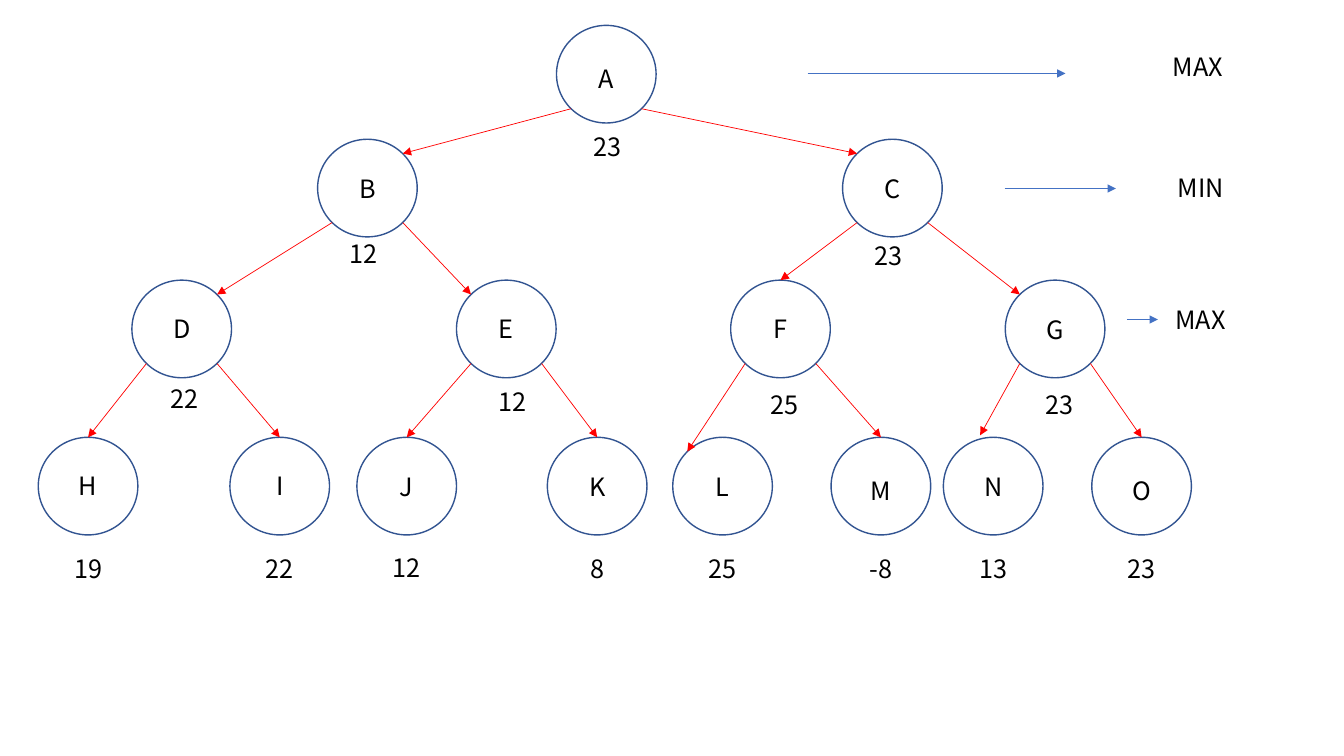
"""Build a slide with a minimax game tree of fifteen nodes."""
from lxml.etree import SubElement
from pptx import Presentation
from pptx.dml.color import RGBColor
from pptx.enum.shapes import MSO_CONNECTOR, MSO_SHAPE
from pptx.enum.text import MSO_AUTO_SIZE, PP_ALIGN
from pptx.oxml.ns import qn
from pptx.util import Cm, Pt

COLORS = {"outline": "325491", "branch": "FF0000", "level": "4472C4",
          "text": "000000", "node": "FFFFFF"}
FONT = "Noto Sans CJK KR"
NODE_WIDTH, NODE_HEIGHT = 2.51, 2.46
CORNER_X, CORNER_Y = 0.89, 0.36
TEXT_HEIGHT = 1.02
ROW_TOPS = [0.64, 3.51, 7.06, 11.02]
TOP, LEFT, RIGHT = (0, 0), (-CORNER_X, CORNER_Y), (CORNER_X, CORNER_Y)


def add_arrow(start, end, color):
    arrow = slide.shapes.add_connector(
        MSO_CONNECTOR.STRAIGHT, *(Cm(length) for length in start + end))
    arrow.line.color.rgb = RGBColor.from_string(COLORS[color])
    arrow.line.width = Pt(0.5)
    line = arrow.line._get_or_add_ln()
    SubElement(line, qn("a:tailEnd"), type="triangle")
    SubElement(arrow._element.spPr, qn("a:effectLst"))


def add_label(text, left, top, width, alignment=PP_ALIGN.CENTER):
    box = slide.shapes.add_textbox(Cm(left), Cm(top), Cm(width), Cm(TEXT_HEIGHT))
    frame = box.text_frame
    frame.word_wrap = True
    frame.auto_size = MSO_AUTO_SIZE.SHAPE_TO_FIT_TEXT
    frame.text = text
    paragraph = frame.paragraphs[0]
    paragraph.alignment = alignment
    paragraph.font.name = FONT
    paragraph.font.size = Pt(18)
    paragraph.font.color.rgb = RGBColor.from_string(COLORS["text"])


presentation = Presentation()
presentation.slide_width, presentation.slide_height = Cm(33.87), Cm(19.05)
slide = presentation.slides.add_slide(presentation.slide_layouts[6])

# letter, centre, letter top, value, value offset, value top, arrow end offset
nodes = [
    ("A", 15.28, 1.47, "23", -0.57, 3.18, TOP),
    ("B", 9.26, 4.24, "12", -0.70, 5.89, RIGHT),
    ("C", 22.49, 4.24, "23", -0.70, 5.94, LEFT),
    ("D", 4.58, 7.77, "22", -0.52, 9.53, RIGHT),
    ("E", 12.76, 7.77, "12", -0.44, 9.60, LEFT),
    ("F", 19.67, 7.77, "25", -0.50, 9.68, TOP),
    ("G", 26.59, 7.80, "23", -0.50, 9.68, LEFT),
    ("H", 2.22, 11.73, "19", -1.02, 13.82, TOP),
    ("I", 7.05, 11.73, "22", -1.02, 13.82, TOP),
    ("J", 10.25, 11.76, "12", -1.02, 13.79, TOP),
    ("K", 15.05, 11.76, "8", -1.02, 13.82, TOP),
    ("L", 18.21, 11.76, "25", -1.02, 13.82, LEFT),
    ("M", 22.20, 11.86, "-8", -1.02, 13.82, TOP),
    ("N", 25.03, 11.76, "13", -1.02, 13.82, (-0.33, -0.05)),
    ("O", 28.77, 11.86, "23", -1.02, 13.82, TOP),
]
node_tops = [ROW_TOPS[number.bit_length() - 1]
             for number in range(1, len(nodes) + 1)]

for (letter, center, *_), top in zip(nodes, node_tops):
    circle = slide.shapes.add_shape(
        MSO_SHAPE.FLOWCHART_CONNECTOR, Cm(center - NODE_WIDTH / 2), Cm(top),
        Cm(NODE_WIDTH), Cm(NODE_HEIGHT))
    circle.shadow.inherit = False
    circle.fill.solid()
    circle.fill.fore_color.rgb = RGBColor.from_string(COLORS["node"])
    circle.line.color.rgb = RGBColor.from_string(COLORS["outline"])
    circle.line.width = Pt(1)

for child in range(1, len(nodes)):
    parent = (child - 1) // 2
    side = -CORNER_X if child % 2 else CORNER_X
    start = (nodes[parent][1] + side, node_tops[parent] + NODE_HEIGHT - CORNER_Y)
    offset_x, offset_y = nodes[child][-1]
    end = (nodes[child][1] + offset_x, node_tops[child] + offset_y)
    add_arrow(start, end, "branch")

for (letter, center, letter_top, value, offset, value_top, _), top in zip(nodes, node_tops):
    add_label(letter, center - 0.69, letter_top, 1.38)
    if top == ROW_TOPS[-1]:
        add_label(value, center + offset, value_top, 2.04)
    else:
        add_label(value, center + offset, value_top, 1.38, PP_ALIGN.LEFT)

levels = [("MAX", 28.78, 1.17, 20.35, 26.85, 1.85),
          ("MIN", 28.85, 4.22, 25.32, 28.12, 4.75),
          ("MAX", 28.85, 7.54, 28.40, 29.18, 8.05)]
for name, left, top, arrow_start, arrow_end, arrow_y in levels:
    add_label(name, left, top, 2.82)
    add_arrow((arrow_start, arrow_y), (arrow_end, arrow_y), "level")

presentation.save("out.pptx")
